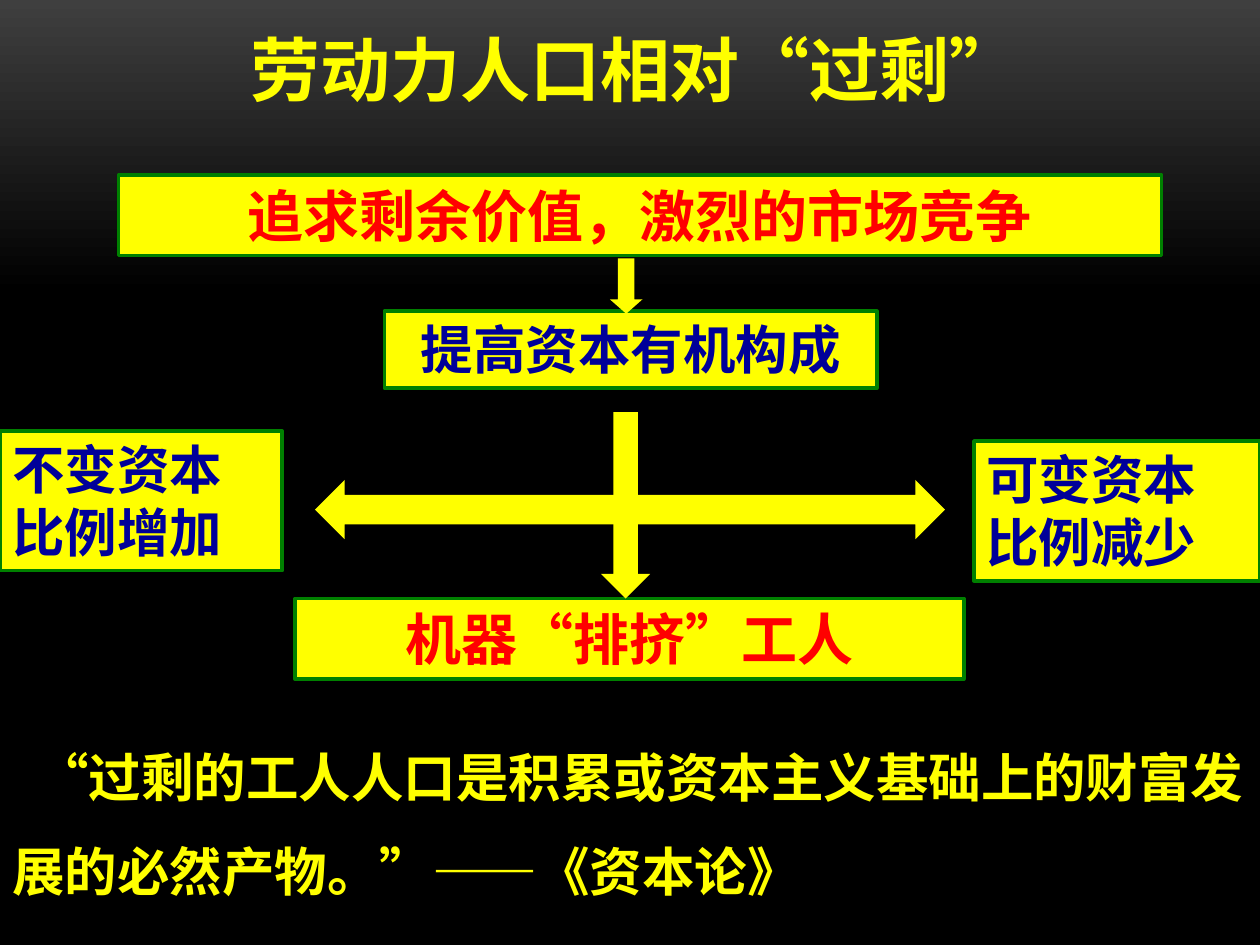
from lxml import etree
from pptx import Presentation
from pptx.dml.color import RGBColor
from pptx.enum.shapes import MSO_SHAPE as SHAPE
from pptx.enum.text import MSO_ANCHOR as ANCHOR, PP_ALIGN as ALIGN
from pptx.oxml.ns import qn
from pptx.util import Inches, Pt

YELLOW = RGBColor(0xFF, 0xFF, 0x00)
RED = RGBColor(0xFF, 0x00, 0x00)
NAVY = RGBColor(0x00, 0x00, 0x99)
GREEN = RGBColor(0x00, 0x80, 0x00)
GRAY = RGBColor(0x3F, 0x3F, 0x3F)
BLACK = RGBColor(0x00, 0x00, 0x00)
CJK_FONT = "Noto Sans CJK SC"


def write(frame, text, size, color, align, latin=CJK_FONT):
    """Fill a text frame with one bold paragraph, with the CJK font set too."""
    frame.word_wrap = True
    paragraph = frame.paragraphs[0]
    paragraph.text = text
    paragraph.alignment = align
    font = paragraph.font
    font.name, font.size, font.bold = latin, Pt(size), True
    font.color.rgb = color
    for properties in (paragraph.runs[0].font._element, font._element):
        east_asian = etree.SubElement(properties, qn("a:ea"))
        east_asian.set("typeface", CJK_FONT)
    return paragraph


def add_yellow(kind, left, top, width, height):
    shape = slide.shapes.add_shape(
        kind, Inches(left), Inches(top), Inches(width), Inches(height))
    shape.shadow.inherit = False
    shape.fill.solid()
    shape.fill.fore_color.rgb = YELLOW
    shape.line.fill.background()
    return shape


prs = Presentation()
prs.slide_width, prs.slide_height = Inches(10), Inches(7.5)
slide = prs.slides.add_slide(prs.slide_layouts[5])

# Background: gray fading to black down the top third
backdrop = slide.background.fill
backdrop.gradient()
backdrop.gradient_angle = 270
for stop, color, position in zip(backdrop.gradient_stops, (GRAY, BLACK), (0, 0.31)):
    stop.color.rgb = color
    stop.position = position

# Title
title = slide.shapes.title
title.left, title.top = Inches(0.39), Inches(0.16)
title.width, title.height = Inches(9.3), Inches(0.77)
title.text_frame.vertical_anchor = ANCHOR.TOP
write(title.text_frame, "劳动力人口相对“过剩”", 40, YELLOW, ALIGN.CENTER, "Arial")

# Quotation
quotation = slide.shapes.add_textbox(Inches(0), Inches(5.61), Inches(10), Inches(1.62))
quote = write(quotation.text_frame,
              "“过剩的工人人口是积累或资本主义基础上的财富发展的必然产物。”——《资本论》",
              30, YELLOW, ALIGN.LEFT)
quote.line_spacing = 1.5
quote._p.get_or_add_pPr().set("indent", str(Inches(0.19)))

# Boxes of causes and effects
boxes = [
    ("追求剩余价值，激烈的市场竞争", 0.94, 1.39, 8.28, 0.64, 32, RED, ALIGN.CENTER),
    ("提高资本有机构成", 3.05, 2.47, 3.91, 0.61, 30, NAVY, ALIGN.CENTER),
    ("不变资本比例增加", 0, 3.42, 2.24, 1.11, 30, NAVY, ALIGN.LEFT),
    ("可变资本比例减少", 7.73, 3.5, 2.27, 1.11, 30, NAVY, ALIGN.LEFT),
    ("机器“排挤”工人", 2.34, 4.75, 5.31, 0.64, 32, RED, ALIGN.CENTER),
]
for text, left, top, width, height, size, color, align in boxes:
    box = add_yellow(SHAPE.RECTANGLE, left, top, width, height)
    box.line.color.rgb = GREEN
    box.line.width = Pt(2)
    box.text_frame.vertical_anchor = ANCHOR.TOP
    write(box.text_frame, text, size, color, align)

# Arrows between the boxes
competition_arrow = add_yellow(SHAPE.DOWN_ARROW, 4.84, 2.05, 0.26, 0.44)
competition_arrow.adjustments[1] = 0.44
add_yellow(SHAPE.LEFT_RIGHT_ARROW, 2.5, 3.81, 5, 0.47)
add_yellow(SHAPE.DOWN_ARROW, 4.77, 3.27, 0.39, 1.48)

prs.save("out.pptx")
